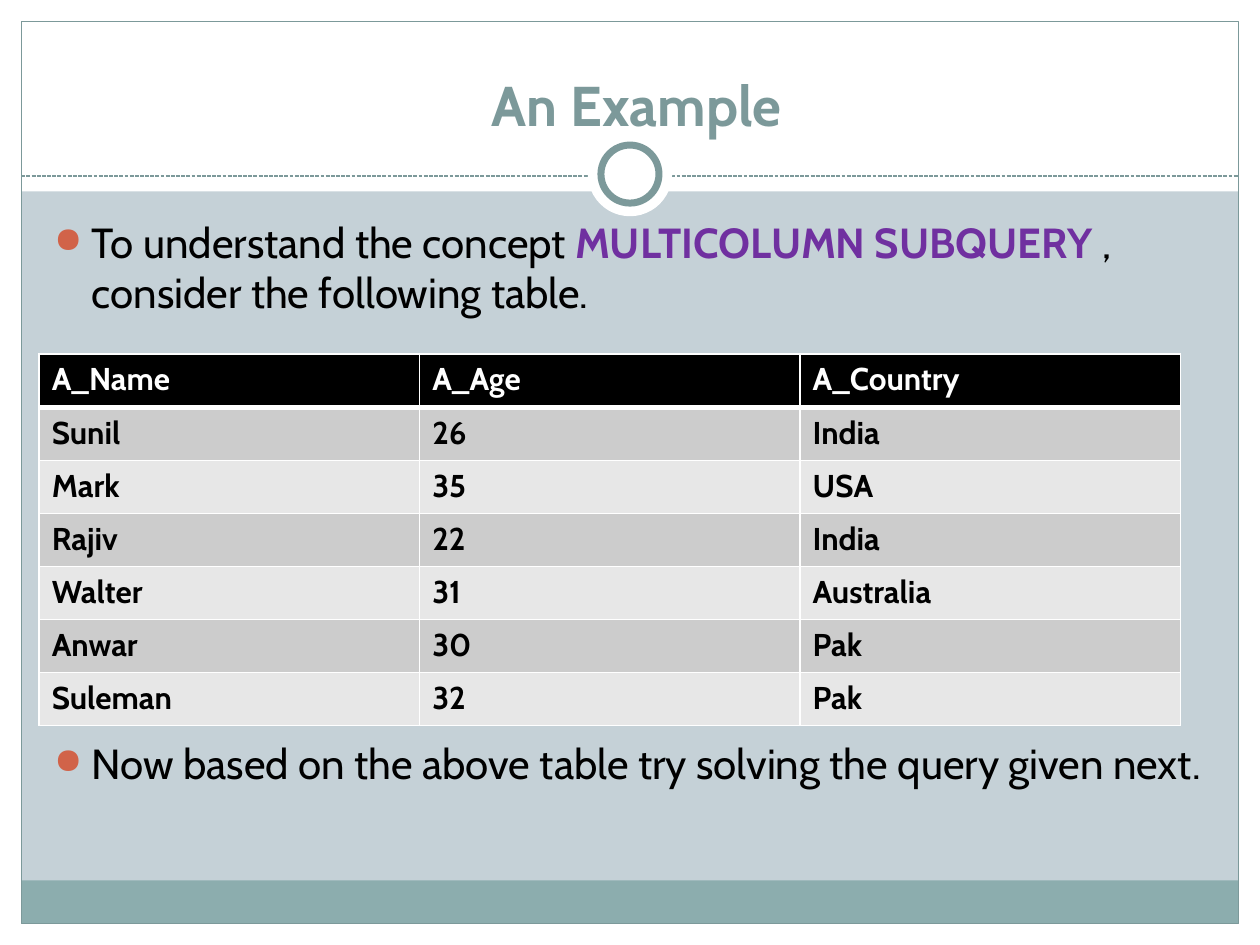
"""Build the slide that introduces a multicolumn subquery with a sample table."""
from lxml.etree import SubElement
from pptx import Presentation
from pptx.dml.color import RGBColor
from pptx.enum.dml import MSO_LINE_DASH_STYLE as DASH
from pptx.enum.shapes import MSO_CONNECTOR, MSO_SHAPE as SHAPE
from pptx.enum.text import MSO_ANCHOR as ANCHOR, PP_ALIGN as ALIGN
from pptx.oxml import parse_xml
from pptx.oxml.ns import nsdecls, qn
from pptx.util import Cm, Pt

WHITE = RGBColor(0xFF, 0xFF, 0xFF)
BLACK = RGBColor(0x00, 0x00, 0x00)
BACKDROP = RGBColor(0xC5, 0xD1, 0xD7)
TEAL = RGBColor(0x8C, 0xAD, 0xAE)
SLATE = RGBColor(0x7C, 0x99, 0x9A)
PURPLE = RGBColor(0x70, 0x30, 0xA0)
ORANGE = RGBColor(0xD1, 0x63, 0x49)
DARK_BAND = RGBColor(0xCC, 0xCC, 0xCC)
LIGHT_BAND = RGBColor(0xE7, 0xE7, 0xE7)

WIDTH, HEIGHT, MARGIN = 25.4, 19.05, 0.43
INNER_WIDTH = WIDTH - 2 * MARGIN


def add_text(paragraph, text, size=24, color=BLACK, bold=False):
    run = paragraph.add_run()
    run.text = text
    run.font.name = "Cabin"
    run.font.size = Pt(size)
    run.font.bold = bold
    run.font.color.rgb = color


def add_panel(kind, box, fill=None, line=None, weight=0.75):
    panel = slide.shapes.add_shape(kind, *map(Cm, box))
    panel.shadow.inherit = False
    if fill is None:
        panel.fill.background()
    else:
        panel.fill.solid()
        panel.fill.fore_color.rgb = fill
    if line is None:
        panel.line.fill.background()
    else:
        panel.line.color.rgb = line
        panel.line.width = Pt(weight)


deck = Presentation()
deck.slide_width, deck.slide_height = Cm(WIDTH), Cm(HEIGHT)
slide = deck.slides.add_slide(deck.slide_layouts[6])
slide.background.fill.solid()
slide.background.fill.fore_color.rgb = BACKDROP

for edge in (
    (0, HEIGHT - MARGIN, WIDTH, MARGIN),
    (0, 0, WIDTH, 3.86),
    (0, 0, MARGIN, HEIGHT),
    (WIDTH - MARGIN, 0, MARGIN, HEIGHT),
):
    add_panel(SHAPE.RECTANGLE, edge, fill=WHITE)
add_panel(SHAPE.RECTANGLE, (MARGIN, 17.75, INNER_WIDTH, 0.87), fill=TEAL)
add_panel(SHAPE.RECTANGLE, (MARGIN, MARGIN, INNER_WIDTH, HEIGHT - 2 * MARGIN), line=SLATE)

divider = slide.shapes.add_connector(
    MSO_CONNECTOR.STRAIGHT, Cm(MARGIN), Cm(3.55), Cm(WIDTH - MARGIN), Cm(3.55)
)
divider.line.color.rgb = SLATE
divider.line.width = Pt(0.75)
divider.line.dash_style = DASH.SQUARE_DOT
SubElement(divider._element.spPr, qn("a:effectLst"))

for diameter, outline in ((1.7, None), (1.17, SLATE)):
    ring_box = ((WIDTH - diameter) / 2, 3.51 - diameter / 2, diameter, diameter)
    add_panel(SHAPE.OVAL, ring_box, fill=WHITE, line=outline, weight=4)

title = slide.shapes.add_textbox(Cm(0.99), Cm(0.79), Cm(23.7), Cm(2.11)).text_frame
title.word_wrap = True
title.vertical_anchor = ANCHOR.BOTTOM
title.paragraphs[0].alignment = ALIGN.CENTER
add_text(title.paragraphs[0], "An Example", size=32, color=SLATE, bold=True)

body = slide.shapes.add_textbox(Cm(0.84), Cm(4.24), Cm(23.62), Cm(13.49)).text_frame
body.word_wrap = True
intro, task = body.paragraphs[0], body.add_paragraph()
for point in (intro, task):
    properties = point._p.get_or_add_pPr()
    properties.set("marL", str(Cm(0.76)))
    properties.set("indent", str(Cm(-0.76)))
    bullet_color = SubElement(properties, qn("a:buClr"))
    SubElement(bullet_color, qn("a:srgbClr"), val=str(ORANGE))
    SubElement(properties, qn("a:buSzPct"), val="85000")
    SubElement(properties, qn("a:buChar"), char="●")
task.space_before = Pt(240)
add_text(intro, "To understand the concept ")
add_text(intro, "MULTICOLUMN SUBQUERY ", color=PURPLE, bold=True)
add_text(intro, ", consider the following table.")
add_text(task, "Now based on the above table try solving the query given next.")

people = (
    ("A_Name", "A_Age", "A_Country"),
    ("Sunil", "26", "India"),
    ("Mark", "35", "USA"),
    ("Rajiv", "22", "India"),
    ("Walter", "31", "Australia"),
    ("Anwar", "30", "Pak"),
    ("Suleman", "32", "Pak"),
)
table = slide.shapes.add_table(
    len(people), 3, Cm(0.79), Cm(7.14), Cm(23.01), Cm(7.49)
).table
for row, person in enumerate(people):
    band = BLACK if row == 0 else DARK_BAND if row % 2 else LIGHT_BAND
    weights = {"L": 1, "R": 1, "T": 3 if row == 1 else 1, "B": 3 if row == 0 else 1}
    for column, value in enumerate(person):
        cell = table.cell(row, column)
        add_text(
            cell.text_frame.paragraphs[0], value, size=18,
            color=BLACK if row else WHITE, bold=True,
        )
        for side, weight in weights.items():
            cell._tc.get_or_add_tcPr().append(parse_xml(
                f'<a:ln{side} {nsdecls("a")} w="{Pt(weight)}"><a:solidFill>'
                f'<a:srgbClr val="{WHITE}"/></a:solidFill></a:ln{side}>'
            ))
        cell.fill.solid()
        cell.fill.fore_color.rgb = band

deck.save("out.pptx")
